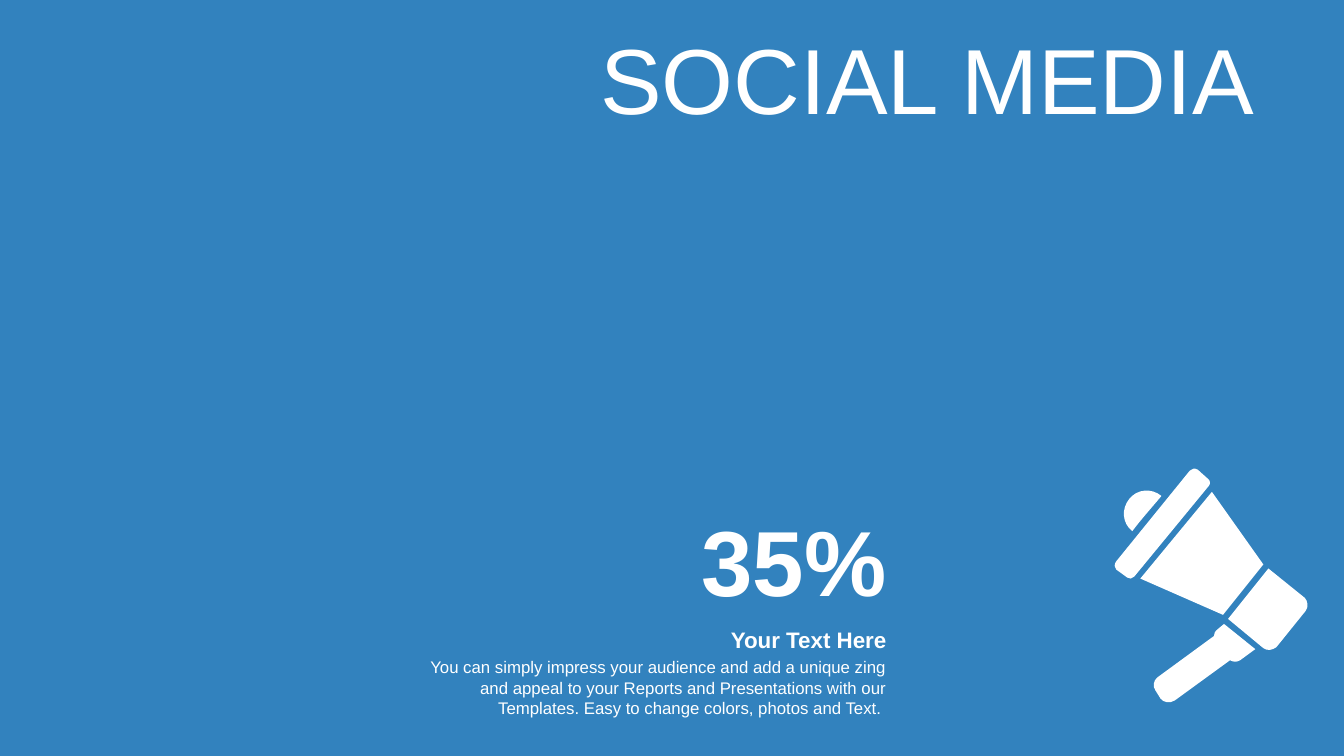
import dataclasses

import lxml.etree
import pptx
import pptx.dml.color
import pptx.enum.shapes
import pptx.enum.text
import pptx.oxml.ns
import pptx.util

Inches = pptx.util.Inches
Anchor = pptx.enum.text.MSO_ANCHOR
qn = pptx.oxml.ns.qn


@dataclasses.dataclass(frozen=True)
class Theme:
    back: str = "3282BE"
    ink: str = "FFFFFF"
    font: str = "Arial"
    big: int = 66
    head: int = 16
    body: int = 12
    rule: float = 1.25


THEME = Theme()

HANDLE = [(108, 155), (102, 160), (99, 162, 98, 165, 98, 167), (42, 208),
          (38, 211, 37, 217, 40, 221), (45, 229),
          (48, 233, 54, 234, 59, 231), (114, 191),
          (117, 193, 121, 193, 124, 191), (139, 180)]
BELL = [(46, 28), (36, 20, 22, 21, 14, 31), (6, 41, 7, 55, 17, 63),
        (26, 51, 36, 40, 46, 28)]
BASE = [(188, 129), (152, 100), (112, 150), (147, 179),
        (151, 182, 156, 181, 160, 178), (189, 142),
        (192, 138, 191, 132, 188, 129)]
HORN = [(96, 24), (25, 110), (107, 146), (147, 96)]
RIM = [(92, 11), (82, 2), (79, 0, 76, 1, 74, 3), (1, 93),
       (-1, 96, -1, 99, 1, 101), (12, 109),
       (14, 111, 17, 110, 19, 108), (93, 18), (95, 16, 94, 12, 92, 11)]


def color(code):
    return pptx.dml.color.RGBColor.from_string(code)


def horn(slide, left, top):
    def place(x, y):
        return Inches(left + x / 100), Inches(top + y / 100)

    outlines = (HANDLE, BELL, BASE, HORN, RIM)
    pen = slide.shapes.build_freeform(*place(*HANDLE[0]))
    for outline in outlines:
        if outline is not HANDLE:
            pen.move_to(*place(*outline[0]))
        pen.add_line_segments([place(*part[-2:]) for part in outline[1:]],
                              close=True)
    shape = pen.convert_to_shape()
    parts = [part for outline in outlines for part in outline[1:]]
    lines = list(shape.element.iter(qn("a:lnTo")))
    for line, part in zip(lines, parts):
        if len(part) == 2:
            continue
        curve = lxml.etree.Element(qn("a:cubicBezTo"))
        for i in range(0, 6, 2):
            x, y = place(*part[i:i + 2])
            lxml.etree.SubElement(curve, qn("a:pt"), x=str(x - shape.left),
                                  y=str(y - shape.top))
        line.getparent().replace(line, curve)
    shape.shadow.inherit = False
    shape.fill.solid()
    shape.fill.fore_color.rgb = color(THEME.ink)
    shape.line.fill.background()


def label(slide, box, text, size, bold=False, anchor=Anchor.TOP):
    frame = slide.shapes.add_textbox(*map(Inches, box)).text_frame
    frame.word_wrap = True
    frame.vertical_anchor = anchor
    para = frame.paragraphs[0]
    para.text = text
    para.alignment = pptx.enum.text.PP_ALIGN.RIGHT
    para.font.name = THEME.font
    para.font.size = pptx.util.Pt(size)
    para.font.bold = bold
    para.font.color.rgb = color(THEME.ink)


def title(slide, box):
    label(slide, box, "SOCIAL MEDIA", THEME.big, anchor=Anchor.MIDDLE)


def lead(slide, start, end, y):
    line = slide.shapes.add_connector(
        pptx.enum.shapes.MSO_CONNECTOR.STRAIGHT,
        *map(Inches, (start, y, end, y)))
    line.line.color.rgb = color(THEME.back)
    line.line.width = pptx.util.Pt(THEME.rule)
    props = line.element.spPr
    lxml.etree.SubElement(props.find(qn("a:ln")), qn("a:tailEnd"), type="oval")
    lxml.etree.SubElement(props, qn("a:effectLst"))


def stat(slide, left, top, width):
    label(slide, (left + width - 2.4, top, 2.4, 1.21), "35%", THEME.big,
          True, Anchor.MIDDLE)
    lead(slide, left + width + 1.87, left + width + 0.27, top + 0.61)
    label(slide, (left, top + 1.52, width, 0.71),
          "You can simply impress your audience and add a unique zing and "
          "appeal to your Reports and Presentations with our Templates. "
          "Easy to change colors, photos and Text. ", THEME.body)
    label(slide, (left, top + 1.21, width, 0.37), "Your Text Here",
          THEME.head, True)


def main():
    deck = pptx.Presentation()
    deck.slide_width = Inches(13.33)
    deck.slide_height = Inches(7.5)
    slide = deck.slides.add_slide(deck.slide_layouts[6])
    slide.background.fill.solid()
    slide.background.fill.fore_color.rgb = color(THEME.back)
    horn(slide, 11.06, 4.64)
    stat(slide, 4.14, 4.95, 4.75)
    title(slide, (5.78, 0.16, 6.76, 1.21))
    deck.save("out.pptx")


if __name__ == "__main__":
    main()
